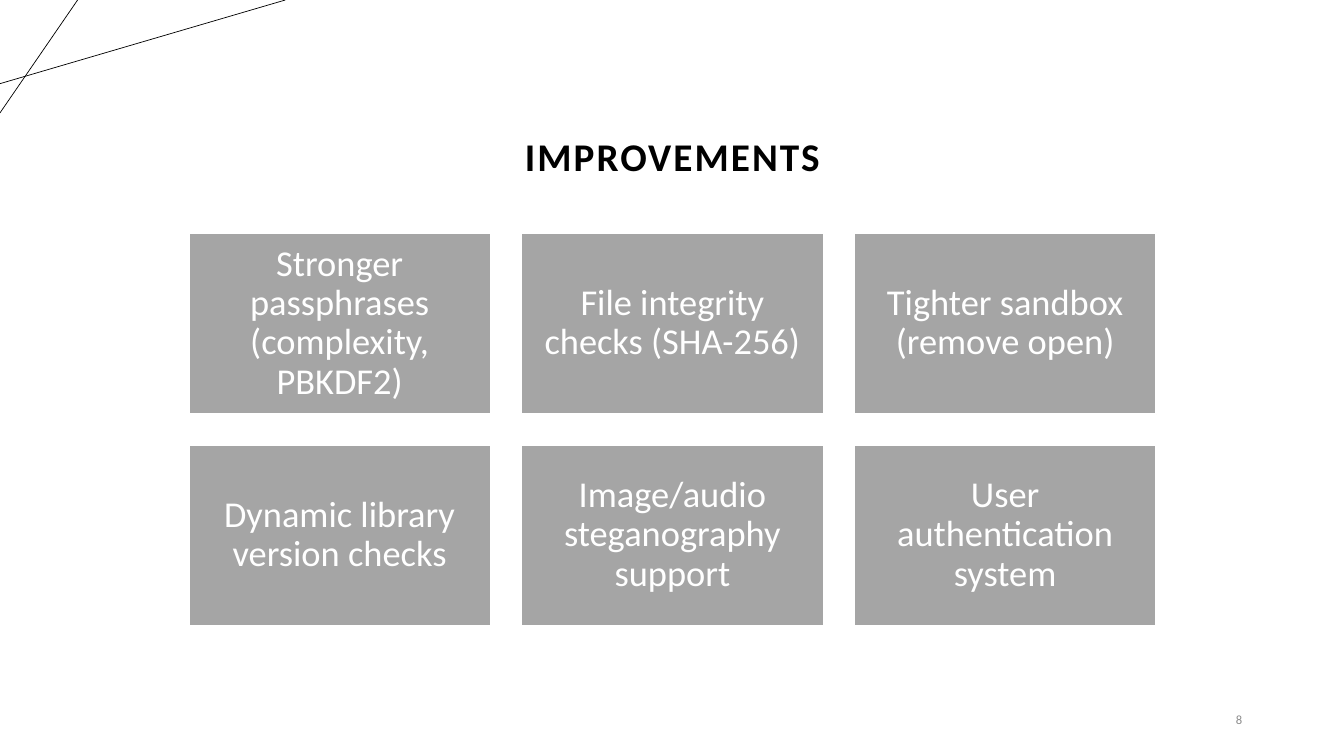
"""Build the slide of planned improvements."""
import lxml.etree
import pptx
import pptx.dml.color
import pptx.enum.shapes
import pptx.enum.text
import pptx.oxml.ns
import pptx.util

Inches = pptx.util.Inches
Pt = pptx.util.Pt
RGBColor = pptx.dml.color.RGBColor
ALIGN = pptx.enum.text.PP_ALIGN
ANCHOR = pptx.enum.text.MSO_ANCHOR

BLACK = RGBColor(0x00, 0x00, 0x00)
WHITE = RGBColor(0xFF, 0xFF, 0xFF)
GREY = RGBColor(0xA5, 0xA5, 0xA5)
DIM = RGBColor(0x8C, 0x8C, 0x8C)

FONT = "Calibri"
COLS = 3
LEFT, TOP = 1.87, 2.31
WIDTH, HEIGHT, GAP = 3, 1.8, 0.3
CARDS = [
    "Stronger passphrases (complexity, PBKDF2)",
    "File integrity checks (SHA-256)",
    "Tighter sandbox (remove open)",
    "Dynamic library version checks",
    "Image/audio steganography support",
    "User authentication system",
]


def write(frame, text, size, color, align, anchor):
    frame.word_wrap = True
    frame.auto_size = pptx.enum.text.MSO_AUTO_SIZE.NONE
    frame.vertical_anchor = anchor
    para = frame.paragraphs[0]
    para.alignment = align
    para.line_spacing = 0.9
    run = para.add_run()
    run.text = text
    run.font.name = FONT
    run.font.size = Pt(size)
    run.font.color.rgb = color
    return run


def add_line(slide, x1, y1, x2, y2):
    line = slide.shapes.add_connector(
        pptx.enum.shapes.MSO_CONNECTOR.STRAIGHT,
        Inches(x1), Inches(y1), Inches(x2), Inches(y2))
    line.line.color.rgb = BLACK
    line.line.width = Pt(0.5)
    lxml.etree.SubElement(line._element.spPr, pptx.oxml.ns.qn("a:effectLst"))


def add_title(slide, text):
    title = slide.shapes.title
    title.left, title.top = Inches(0.92), Inches(0.39)
    title.width, title.height = Inches(11.5), Inches(1.45)
    run = write(title.text_frame, text, 28, BLACK, ALIGN.CENTER, ANCHOR.BOTTOM)
    run.font.bold = True
    run._r.get_or_add_rPr().set("spc", "150")


def add_card(slide, text, x, y):
    card = slide.shapes.add_shape(
        pptx.enum.shapes.MSO_SHAPE.RECTANGLE,
        Inches(x), Inches(y), Inches(WIDTH), Inches(HEIGHT))
    card.shadow.inherit = False
    card.fill.solid()
    card.fill.fore_color.rgb = GREY
    card.line.color.rgb = WHITE
    card.line.width = Pt(1.5)
    frame = card.text_frame
    frame.margin_left = frame.margin_right = Inches(0.11)
    frame.margin_top = frame.margin_bottom = Inches(0.11)
    write(frame, text, 26, WHITE, ALIGN.CENTER, ANCHOR.MIDDLE)


def add_number(slide, text):
    box = slide.shapes.add_textbox(
        Inches(11.34), Inches(6.95), Inches(1.08), Inches(0.4))
    write(box.text_frame, text, 9, DIM, ALIGN.RIGHT, ANCHOR.MIDDLE)


def main():
    deck = pptx.Presentation()
    deck.slide_width, deck.slide_height = Inches(13.33), Inches(7.5)
    slide = deck.slides.add_slide(deck.slide_layouts.get_by_name("Title Only"))
    add_line(slide, 0, 0.83, 2.83, 0)
    add_line(slide, 0.77, 0, 0, 1.12)
    add_title(slide, "IMPROVEMENTS")
    for index, text in enumerate(CARDS):
        row, col = divmod(index, COLS)
        add_card(slide, text, LEFT + col * (WIDTH + GAP), TOP + row * (HEIGHT + GAP))
    add_number(slide, "8")
    deck.save("out.pptx")


if __name__ == "__main__":
    main()
